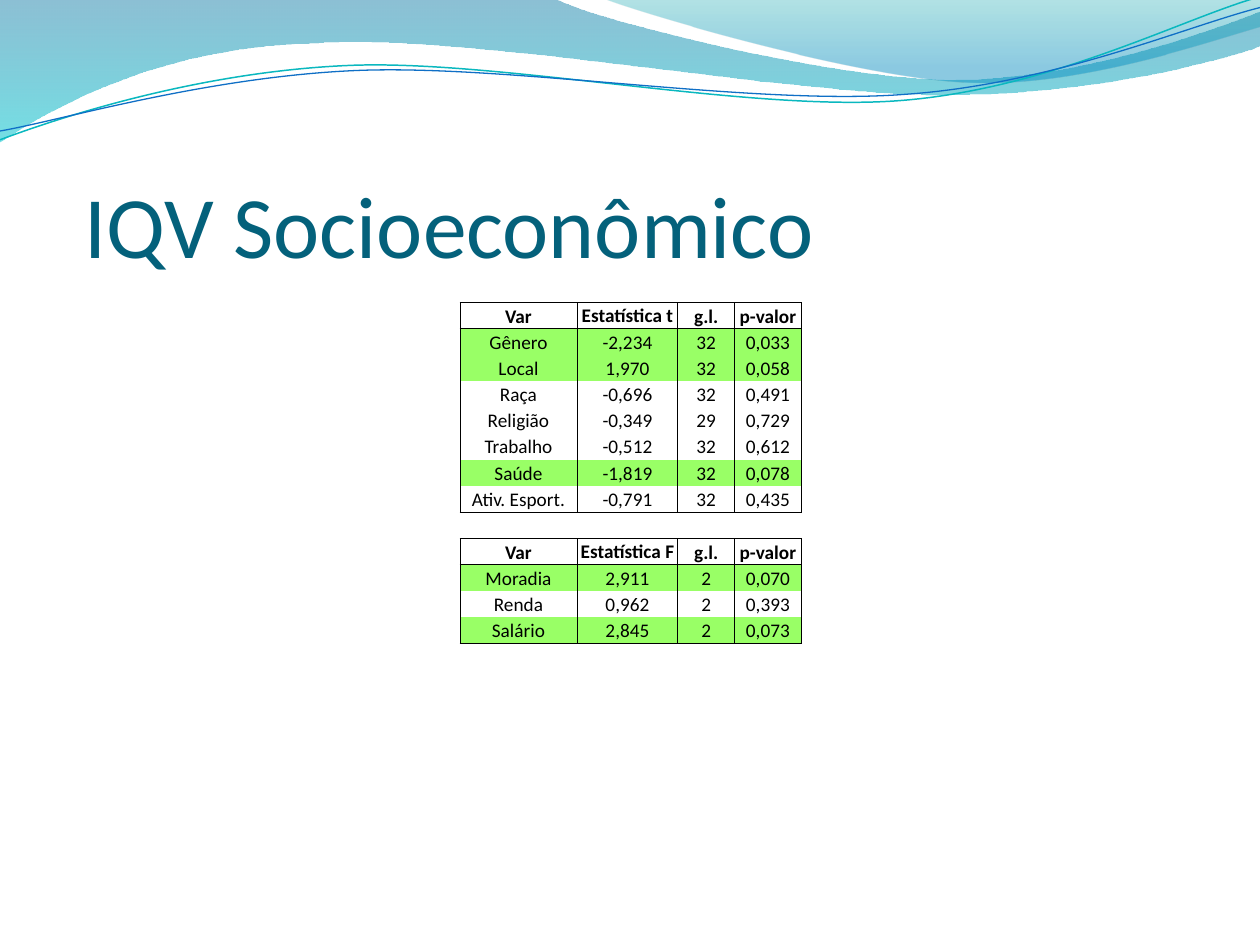
from dataclasses import dataclass

from lxml import etree
from pptx import Presentation
from pptx import util as u
from pptx.dml import color
from pptx.enum import text
from pptx.oxml import ns


@dataclass(frozen=True)
class Theme:
    """Colours, font and type sizes."""
    font: str = "Calibri"
    title: str = "04617B"
    ink: str = "000000"
    paper: str = "FFFFFF"
    mark: str = "99FF66"
    teal: str = "0AB8BF"
    blue: str = "0F6FC6"
    band: tuple = ((0, "0074A1", 45), (1, "00C6CF", 55))
    crest: tuple = ((0, "00A1A9", 30), (0.8, "008BBF", 45))
    big: int = 50
    small: int = 11
    rule: float = 0.5


PLAIN = "{2D5ABB26-0587-4C30-8999-92F81FD0307C}"
BAND = [(0, 0), [(4.4, -0.01)],
        [(4.76, 0.17), (6.64, 0.63), (7.58, 0.63)],
        [(8.53, 0.63), (9.58, 0.26), (10, 0.09)], [(10.01, 0.36)],
        [(9.83, 0.44), (8.7, 0.76), (7.46, 0.75)],
        [(6.22, 0.75), (3.82, 0.28), (2.57, 0.34)],
        [(1.29, 0.36), (0.46, 0.83), (-0.01, 1.13)], [(0, 0)]]
CREST = [(4.79, -0.01),
         [(5.09, 0.11), (6.82, 0.62), (7.69, 0.65)],
         [(8.56, 0.69), (9.61, 0.32), (10, 0.21)], [(10, 0)], [(4.79, -0.01)]]
TEAL = [(0, 1.11),
        [(0.48, 0.93), (1.58, 0.57), (2.77, 0.52)],
        [(3.95, 0.47), (5.93, 0.89), (7.13, 0.8)],
        [(8.33, 0.71), (9.38, 0.15), (9.98, -0.02)]]
BLUE = [(0, 1.04),
        [(0.47, 0.96), (1.64, 0.61), (2.83, 0.56)],
        [(4.03, 0.51), (5.97, 0.84), (7.17, 0.75)],
        [(8.36, 0.67), (9.41, 0.21), (10, 0.06)]]
WIDTHS = [0.93, 0.8, 0.45, 0.53]
TESTS = [
    [("Var", "Estatística t", "g.l.", "p-valor"),
     ("Gênero", "-2,234", "32", "0,033"),
     ("Local", "1,970", "32", "0,058"),
     ("Raça", "-0,696", "32", "0,491"),
     ("Religião", "-0,349", "29", "0,729"),
     ("Trabalho", "-0,512", "32", "0,612"),
     ("Saúde", "-1,819", "32", "0,078"),
     ("Ativ. Esport.", "-0,791", "32", "0,435")],
    [("Var", "Estatística F", "g.l.", "p-valor"),
     ("Moradia", "2,911", "2", "0,070"),
     ("Renda", "0,962", "2", "0,393"),
     ("Salário", "2,845", "2", "0,073")],
]
LIMIT = 0.1


def rgb(code):
    """Read a hex colour."""
    return color.RGBColor.from_string(code)


def child(node, tag, **attrs):
    """Add a drawing element."""
    return etree.SubElement(node, ns.qn(tag), **attrs)


class Deck:
    """Hold the theme and the current slide."""

    def __init__(self, theme):
        """Start a deck with one blank slide."""
        self.theme = theme
        self.file = Presentation()
        self.file.slide_width, self.file.slide_height = u.Inches(10), u.Inches(7.5)
        self.slide = self.file.slides.add_slide(self.file.slide_layouts[6])

    def shape(self, curve, close):
        """Draw a freeform, bending each part that has control points."""
        start, *parts = curve
        pen = self.slide.shapes.build_freeform(*map(u.Inches, start))
        pen.add_line_segments([tuple(map(u.Inches, part[-1])) for part in parts], close=close)
        form = pen.convert_to_shape()
        form.shadow.inherit = False
        lines = list(form.element.spPr.iter(ns.qn("a:lnTo")))
        for line, part in zip(lines, parts):
            if len(part) == 3:
                bend = etree.Element(ns.qn("a:cubicBezTo"))
                for x, y in part:
                    child(bend, "a:pt", x=str(u.Inches(x) - form.left),
                          y=str(u.Inches(y) - form.top))
                line.getparent().replace(line, bend)
        return form

    def wave(self, curve, stops):
        """Draw a closed wave with a see-through gradient."""
        form = self.shape(curve, True)
        form.line.fill.background()
        form.fill.gradient()
        form.fill.gradient_angle = 270
        for stop, (place, code, _) in zip(form.fill.gradient_stops, stops):
            stop.position = place
            stop.color.rgb = rgb(code)
        tones = form.element.spPr.iter(ns.qn("a:srgbClr"))
        for tone, (_, _, alpha) in zip(tones, stops):
            child(tone, "a:alpha", val=str(alpha * 1000))

    def strand(self, curve, code, width):
        """Draw an open curved line."""
        form = self.shape(curve, False)
        form.fill.background()
        form.line.color.rgb = rgb(code)
        form.line.width = u.Pt(width)

    def style(self, para, size, code, bold=False):
        """Format the runs of a paragraph."""
        for run in para.runs:
            run.font.name, run.font.size, run.font.bold = self.theme.font, u.Pt(size), bold
            run.font.color.rgb = rgb(code)

    def title(self, words, left, top, width, height):
        """Add the slide title."""
        box = self.slide.shapes.add_textbox(*map(u.Inches, (left, top, width, height)))
        frame = box.text_frame
        frame.word_wrap = True
        frame.vertical_anchor = text.MSO_ANCHOR.BOTTOM
        frame.margin_left = frame.margin_right = frame.margin_bottom = 0
        frame.margin_top = u.Inches(0.05)
        frame.text = words
        self.style(frame.paragraphs[0], self.theme.big, self.theme.title)

    def border(self, cell, sides):
        """Rule the named sides of a cell and clear the others."""
        props = cell._tc.get_or_add_tcPr()
        for side in "LRTB":
            line = child(props, f"a:ln{side}", w=str(u.Pt(self.theme.rule)))
            if side in sides:
                child(child(line, "a:solidFill"), "a:srgbClr", val=self.theme.ink)
            else:
                child(line, "a:noFill")

    def cell(self, cell, words, head, sides, code, low):
        """Fill and format one cell."""
        cell.margin_left = cell.margin_right = cell.margin_top = u.Inches(0.01)
        cell.margin_bottom = 0
        cell.vertical_anchor = text.MSO_ANCHOR.BOTTOM if low else text.MSO_ANCHOR.MIDDLE
        self.border(cell, sides)
        cell.fill.solid()
        cell.fill.fore_color.rgb = rgb(code)
        cell.text_frame.text = words
        para = cell.text_frame.paragraphs[0]
        para.alignment = text.PP_ALIGN.CENTER
        self.style(para, self.theme.small, self.theme.ink, head)

    def space(self, cell):
        """Leave a cell empty between two blocks."""
        cell.margin_top = cell.margin_bottom = 0
        self.border(cell, "TB")
        cell.fill.background()
        child(cell.text_frame.paragraphs[0]._p, "a:endParaRPr", sz=str(self.theme.small * 100))

    def table(self, blocks, left, top, widths, height):
        """Add blocks of rows, parted by an empty row, as one table."""
        count = sum(map(len, blocks)) + len(blocks) - 1
        frame = self.slide.shapes.add_table(
            count, len(widths), *map(u.Inches, (left, top, sum(widths), height)))
        grid = frame.table
        grid.first_row = grid.horz_banding = False
        grid._tbl.tblPr.find(ns.qn("a:tableStyleId")).text = PLAIN
        for col, width in zip(grid.columns, widths):
            col.width = u.Inches(width)
        for row in grid.rows:
            row.height = u.Inches(height / count)
        line = 0
        for block in blocks:
            if line:
                for cell in grid.rows[line].cells:
                    self.space(cell)
                line += 1
            for i, row in enumerate(block):
                head = i == 0
                sides = "LR" + "T" * (i < 2) + "B" * (head or i == len(block) - 1)
                hit = not head and float(row[-1].replace(",", ".")) < LIMIT
                code = self.theme.mark if hit else self.theme.paper
                for j, words in enumerate(row):
                    self.cell(grid.cell(line, j), words, head, sides, code, head and j != 1)
                line += 1


if __name__ == "__main__":
    theme = Theme()
    deck = Deck(theme)
    deck.wave(BAND, theme.band)
    deck.wave(CREST, theme.crest)
    deck.strand(TEAL, theme.teal, 0.85)
    deck.strand(BLUE, theme.blue, 0.75)
    deck.title("IQV Socioeconômico", 0.67, 0.94, 9, 1.25)
    deck.table(TESTS, 3.65, 2.4, WIDTHS, 2.71)
    deck.file.save("out.pptx")
